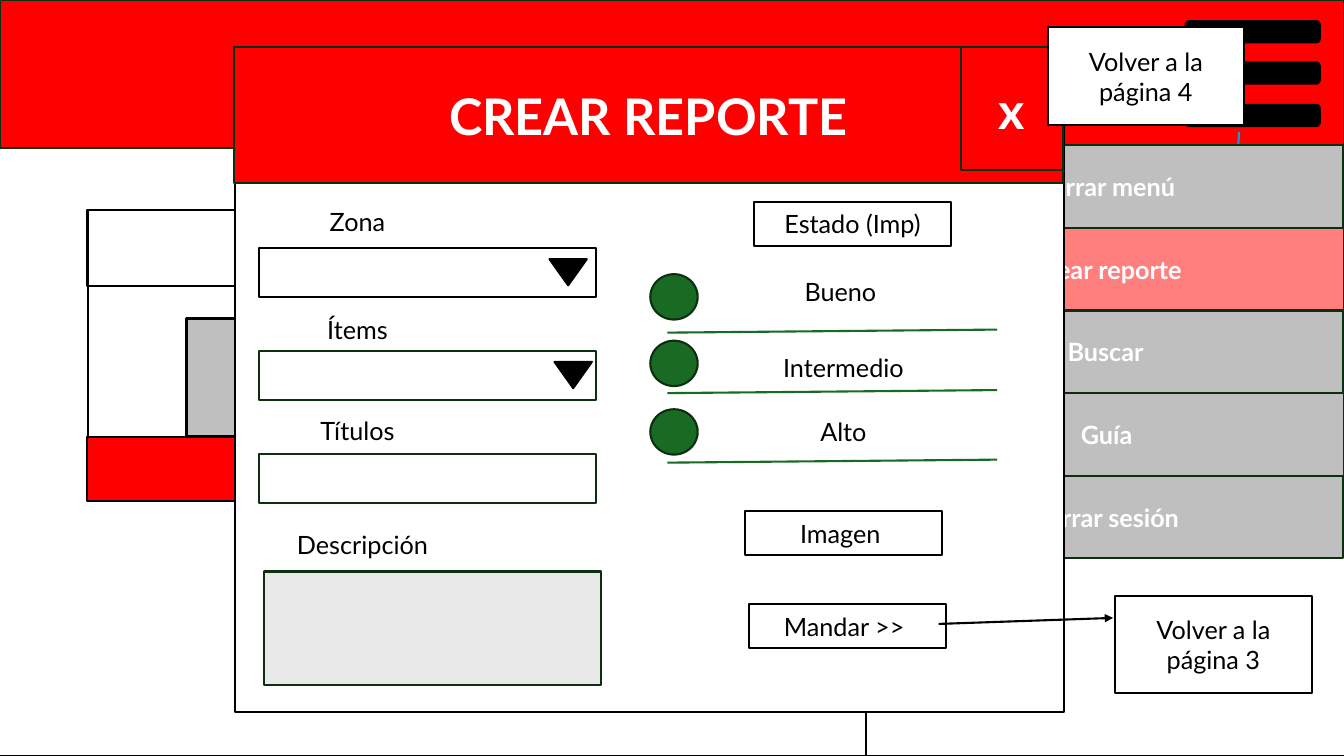
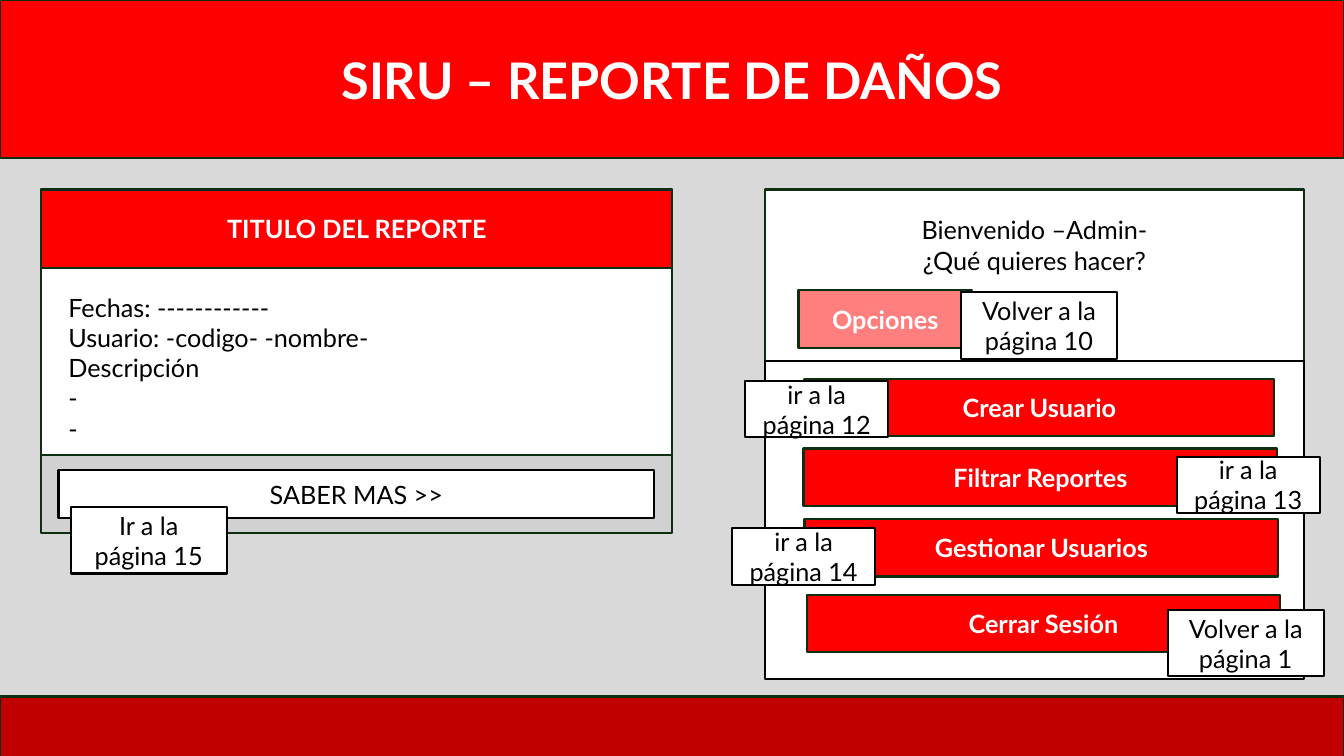
"""Build two wireframe slides of a damage report application."""
from lxml import etree
from pptx import Presentation
from pptx import util as u
from pptx.dml import color
from pptx.enum import shapes, text
from pptx.oxml import ns

SCALE = 9144
WIDTH, HEIGHT = 1333, 750
RED, PINK, DARK_RED = "FF0000", "FF7F7F", "C00000"
GREEN, DARK_GREEN, BLUE = "196B24", "0B2F10", "0F9ED5"
BLACK, WHITE, GREY = "000000", "FFFFFF", "BFBFBF"
SHAPE = shapes.MSO_SHAPE


def px(value):
    return u.Emu(value * SCALE)


def rgb(value):
    return color.RGBColor.from_string(value)


class Wireframe:
    FONTS = {
        "title": ({"name": "Lato", "size": u.Pt(36), "bold": True}, WHITE),
        "button": ({"name": "Lato", "size": u.Pt(18), "bold": True}, WHITE),
        "body": ({"name": "Lato", "size": u.Pt(18), "bold": False}, BLACK),
    }

    def __init__(self, prs):
        self.prs = prs
        self.s = None

    def new_slide(self):
        self.s = self.prs.slides.add_slide(self.prs.slide_layouts[6])
        fill = self.s.background.fill
        fill.solid()
        fill.fore_color.rgb = rgb(BLACK)

    def put_text(self, sp, words, style, align=text.PP_ALIGN.CENTER, bottom=5):
        tf = sp.text_frame
        frame = {
            "word_wrap": True,
            "vertical_anchor": text.MSO_ANCHOR.MIDDLE,
            "margin_left": px(10),
            "margin_right": px(10),
            "margin_top": px(5),
            "margin_bottom": px(bottom),
        }
        for name, value in frame.items():
            setattr(tf, name, value)
        formats, ink = self.FONTS[style]
        for i, row in enumerate(words.split("\n")):
            p = tf.add_paragraph() if i else tf.paragraphs[0]
            p.alignment = align
            r = p.add_run()
            r.text = row
            for name, value in formats.items():
                setattr(r.font, name, value)
            r.font.color.rgb = rgb(ink)

    def box(self, at, fill=WHITE, line=BLACK, kind=SHAPE.RECTANGLE):
        sp = self.s.shapes.add_shape(kind, *map(px, at))
        sp.shadow.inherit = False
        if fill:
            sp.fill.solid()
            sp.fill.fore_color.rgb = rgb(fill)
        else:
            sp.fill.background()
        if line:
            sp.line.color.rgb = rgb(line)
            sp.line.width = u.Pt(1.5)
        else:
            sp.line.fill.background()
        return sp

    def band(self, at, words="", fill=RED):
        sp = self.box(at, fill, DARK_GREEN)
        if words:
            self.put_text(sp, words, "title")

    def button(self, at, words, fill=RED):
        self.put_text(self.box(at, fill, DARK_GREEN), words, "button")

    def note(self, at, words):
        self.put_text(self.box(at), words, "body")

    def label(self, left, top, words):
        sp = self.s.shapes.add_textbox(*map(px, (left, top, 195, 44)))
        self.put_text(sp, words, "body")

    def dropdown_arrow(self, left, top):
        sp = self.box((left, top, 37, 26), BLACK, BLACK, SHAPE.ISOSCELES_TRIANGLE)
        sp.rotation = 180

    def line(self, start, end, ink, arrow=False):
        kind = shapes.MSO_CONNECTOR.STRAIGHT
        cx = self.s.shapes.add_connector(kind, *map(px, start + end))
        cx.line.color.rgb = rgb(ink)
        cx.line.width = u.Pt(1.5)
        if arrow:
            ln = cx.line.get_or_add_ln() if hasattr(cx.line, "get_or_add_ln") else cx.get_or_add_ln()
            etree.SubElement(ln, ns.qn("a:tailEnd"), type="triangle")
        etree.SubElement(cx.element.spPr, ns.qn("a:effectLst"))


def home_screen(w):
    w.box((-2, 0, WIDTH, HEIGHT))
    w.band((0, 0, WIDTH, 147))
    for top in (21, 62, 104):
        w.box((1176, top, 133, 21), BLACK, BLACK, SHAPE.ROUNDED_RECTANGLE)
    w.box((87, 208, 529, 288))
    w.box((86, 208, 529, 76), None)
    w.box((86, 434, 529, 63), RED)
    w.box((185, 316, 319, 117), GREY)
    w.line((1229, 131), (1225, 194), BLUE, arrow=True)
    w.box((859, 147, 476, 603))
    options = ("Cerrar menú", "Crear reporte", "Buscar", "Guía", "Cerrar sesión")
    for i, words in enumerate(options):
        fill = PINK if words == "Crear reporte" else GREY
        w.button((861 + i % 2, 144 + 82 * i, 471, 82), words, fill)


def report_form(w):
    w.box((233, 47, 822, 659))
    w.band((232, 47, 822, 135), "CREAR REPORTE")
    fields = (
        ("Zona", 257, 198, 246, 49, WHITE, BLACK),
        ("Ítems", 257, 305, 348, 49, None, DARK_GREEN),
        ("Títulos", 257, 405, 450, 49, None, DARK_GREEN),
        ("Descripción", 262, 518, 567, 113, "E8E8E8", DARK_GREEN),
    )
    for words, left, label_top, top, height, fill, line in fields:
        w.box((left, top, 334, height), fill, line)
        w.label(left, label_top, words)
    w.dropdown_arrow(545, 257)
    w.dropdown_arrow(550, 359)

    w.note((748, 200, 195, 44), "Estado (Imp)")
    states = (
        ("Bueno", 736, 267, 272, 330),
        ("Intermedio", 739, 343, 338, 390),
        ("Alto", 739, 406, 406, 459),
    )
    for words, left, top, dot_top, rule_top in states:
        w.box((645, dot_top, 47, 45), GREEN, DARK_GREEN, SHAPE.OVAL)
        w.label(left, top, words)
        w.line((662, rule_top), (989, rule_top - 3), GREEN)

    w.note((739, 507, 195, 44), "Imagen ")
    w.note((743, 599, 195, 44), "Mandar >> ")
    w.line((931, 619), (1104, 613), BLACK, arrow=True)
    w.note((1106, 591, 195, 97), "Volver a la página 3")
    w.band((953, 47, 101, 122), "x")
    w.note((1039, 27, 195, 97), "Volver a la página 4")


def report_card(w):
    w.box((41, 188, 626, 338), WHITE, DARK_GREEN)
    w.button((41, 188, 626, 78), "TITULO DEL REPORTE")
    details = "Fechas: ------------\nUsuario: -codigo- -nombre-\nDescripción\n-\n-"
    body = w.box((58, 284, 420, 161), WHITE, None)
    w.put_text(body, details, "body", text.PP_ALIGN.LEFT)
    w.band((41, 451, 626, 78), fill="D1D1D1")
    w.note((58, 466, 591, 48), "SABER MAS >>")
    w.note((70, 503, 155, 66), "Ir a la página 15")


def admin_panel(w):
    welcome = w.box((759, 188, 534, 170), WHITE, DARK_GREEN)
    w.put_text(welcome, "Bienvenido –Admin-\n¿Qué quieres hacer?", "body", bottom=65)
    w.button((792, 288, 172, 57), "Opciones", PINK)
    w.note((953, 290, 155, 66), "Volver a la página 10")
    w.box((759, 358, 534, 316))
    actions = (
        ("Crear Usuario", 798, 376, 466),
        ("Filtrar Reportes", 797, 445, 470),
        ("Gestionar Usuarios", 798, 515, 470),
        ("Cerrar Sesión", 800, 590, 470),
    )
    for words, left, top, width in actions:
        w.button((left, top, width, 57), words)
    w.note((1158, 605, 155, 66), "Volver a la página 1")
    for page, left, top in ((12, 739, 378), (13, 1167, 453), (14, 726, 524)):
        w.note((left, top, 142, 56), f"ir a la página {page}")


def main():
    prs = Presentation()
    prs.slide_width, prs.slide_height = px(WIDTH), px(HEIGHT)
    w = Wireframe(prs)

    w.new_slide()
    home_screen(w)
    report_form(w)

    w.new_slide()
    w.box((0, 0, WIDTH, HEIGHT), "D9D9D9", None)
    w.band((0, 0, WIDTH, 157), "SIRU – REPORTE DE DAÑOS")
    w.band((0, 691, WIDTH, 62), fill=DARK_RED)
    report_card(w)
    admin_panel(w)

    prs.save("out.pptx")


if __name__ == "__main__":
    main()
